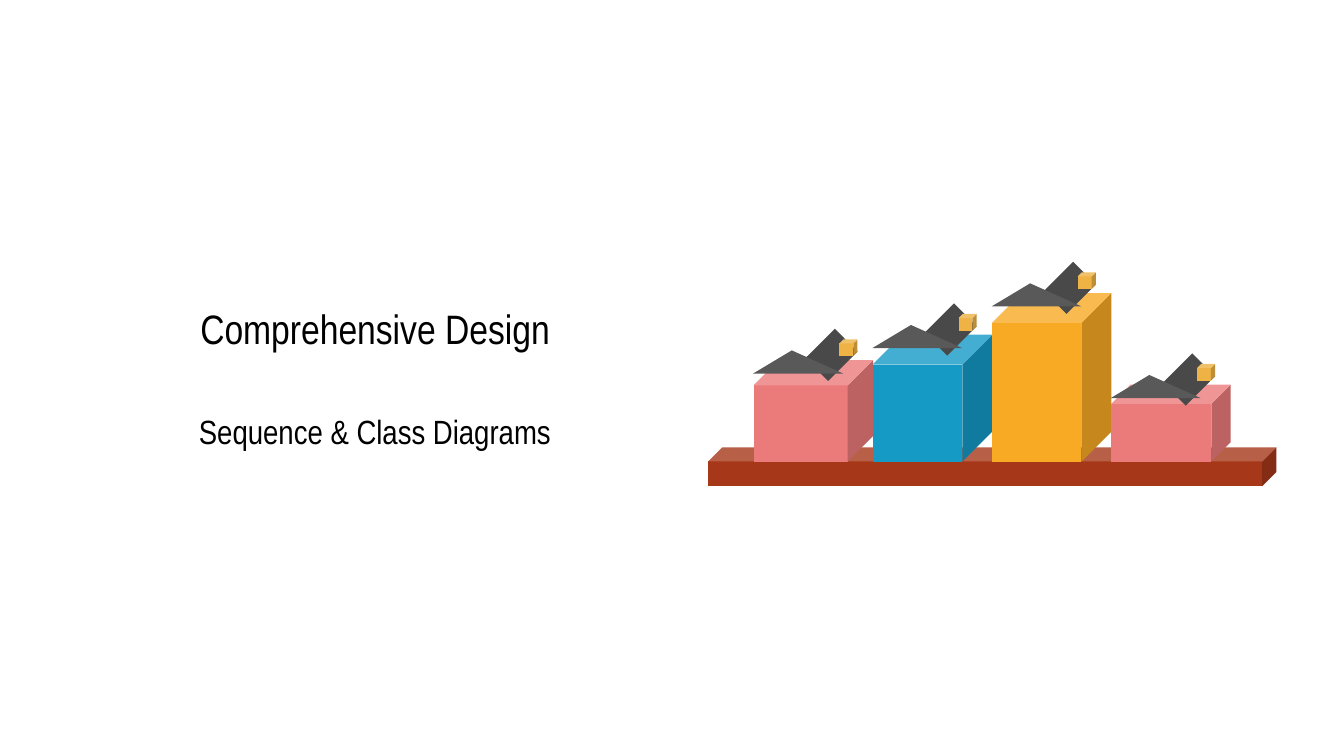
from pptx import Presentation
from pptx.dml.color import RGBColor
from pptx.enum import shapes, text
from pptx.util import Pt

COLOURS = {
    "text": "000000",
    "shelf": "A73719",
    "pink": "EB7B7B",
    "blue": "159AC6",
    "amber": "F8AA25",
    "cap": "4A4949",
    "brim": "595959",
    "tassel": "EEB245",
}
FONT = "Arial Narrow"

# Bars stand side by side on one base line
BAR_LEFT, BAR_WIDTH, BAR_BASE = 403.7, 64, 247.3
BAR_STEP = 63.85
BARS = [("pink", 54.4), ("blue", 68), ("amber", 90.3), ("pink", 41.2)]


def paint(shape, colour):
    shape.shadow.inherit = False
    shape.fill.solid()
    shape.fill.fore_color.rgb = RGBColor.from_string(COLOURS[colour])
    shape.line.fill.background()


def add_block(parent, kind, left, top, width, height, colour, depth=None, rotation=0):
    shape = parent.shapes.add_shape(kind, Pt(left), Pt(top), Pt(width), Pt(height))
    if depth is not None:
        shape.adjustments[0] = depth
    shape.rotation = rotation
    paint(shape, colour)
    return shape


def add_triangle(parent, points, colour):
    corners = [(Pt(x), Pt(y)) for x, y in points]
    builder = parent.shapes.build_freeform(*corners[0])
    builder.add_line_segments(corners[1:], close=True)
    paint(builder.convert_to_shape(), colour)


def add_text(slide, content, left, top, width, height, size, colour="text"):
    box = slide.shapes.add_textbox(Pt(left), Pt(top), Pt(width), Pt(height))
    frame = box.text_frame
    frame.word_wrap = True
    frame.vertical_anchor = text.MSO_ANCHOR.MIDDLE
    frame.margin_left = frame.margin_right = Pt(7.2)
    frame.margin_top = frame.margin_bottom = Pt(7.2)
    paragraph = frame.paragraphs[0]
    paragraph.alignment = text.PP_ALIGN.CENTER
    run = paragraph.add_run()
    run.text = content
    run.font.name = FONT
    run.font.size = Pt(size)
    run.font.color.rgb = RGBColor.from_string(COLOURS[colour])


def add_graduation_cap(slide, left, top):
    """Place a cap on the bar whose top left corner is given."""
    group = slide.shapes.add_group_shape()
    add_block(group, shapes.MSO_SHAPE.RECTANGLE, left + 30.6, top - 11.4,
              22.3, 17.3, "cap", rotation=315)
    add_block(group, shapes.MSO_SHAPE.CUBE, left + 46, top - 11.1,
              9.7, 8.9, "tassel", depth=0.25)
    add_triangle(group, [(left + 20.5, top - 5.2), (left + 48, top + 7.2),
                         (left - 0.2, top + 7.2)], "brim")


def add_bar(slide, index, colour, height):
    left, top = BAR_LEFT + index * BAR_STEP, BAR_BASE - height
    add_block(slide, shapes.MSO_SHAPE.CUBE, left, top,
              BAR_WIDTH, height, colour, depth=0.25)
    add_graduation_cap(slide, left, top)


def main():
    presentation = Presentation()
    presentation.slide_width, presentation.slide_height = Pt(720), Pt(405)
    slide = presentation.slides.add_slide(presentation.slide_layouts[6])

    # Headings
    add_text(slide, "Comprehensive Design", 54, 150.5, 293.8, 50.4, size=22)
    add_text(slide, "Sequence & Class Diagrams", 54, 206, 293.8, 50.4, size=18)

    # Shelf with capped bars
    add_block(slide, shapes.MSO_SHAPE.CUBE, 379.4, 239.6, 304.4, 20.9,
              "shelf", depth=0.365)
    for index, (colour, height) in enumerate(BARS):
        add_bar(slide, index, colour, height)

    presentation.save("out.pptx")


if __name__ == "__main__":
    main()
